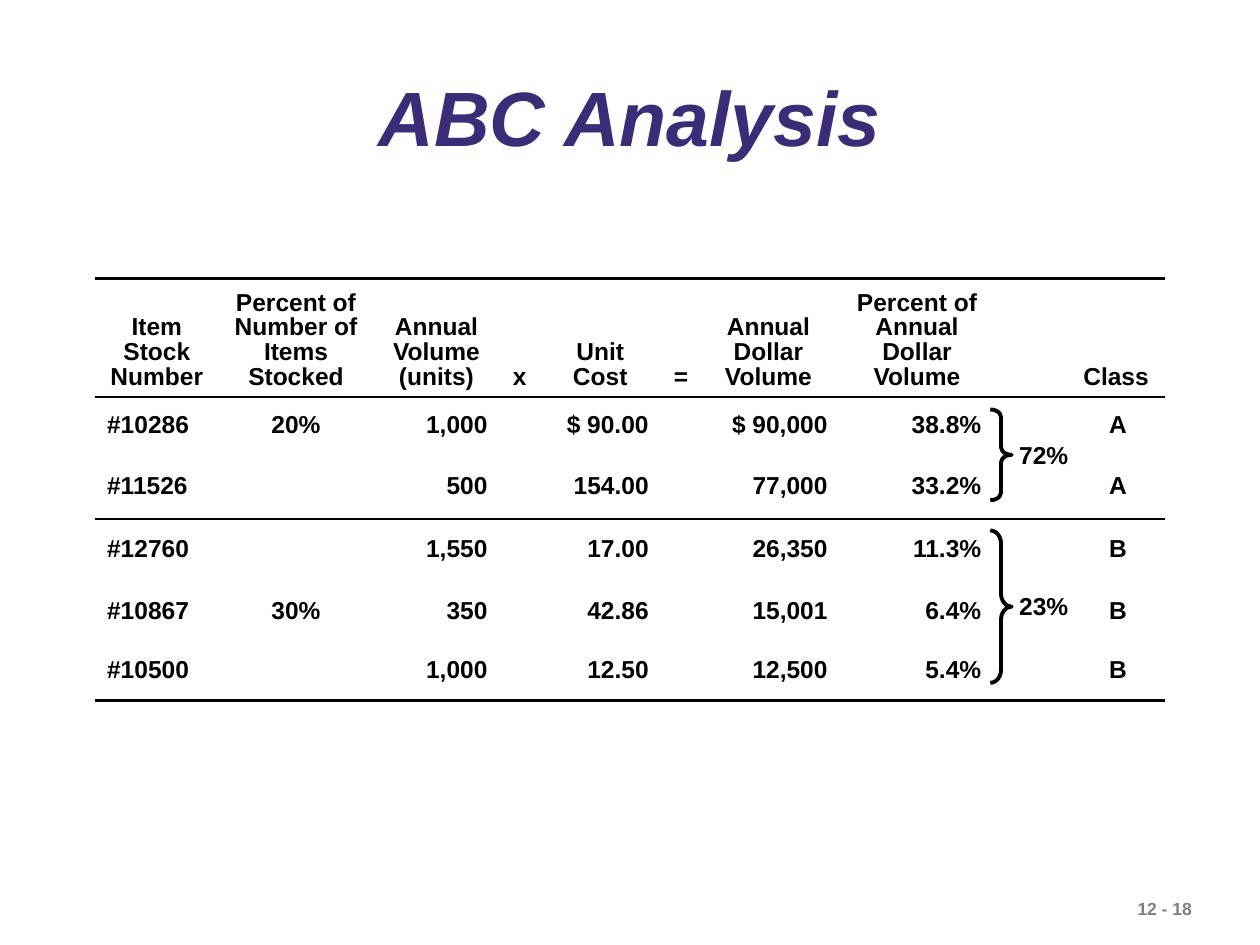
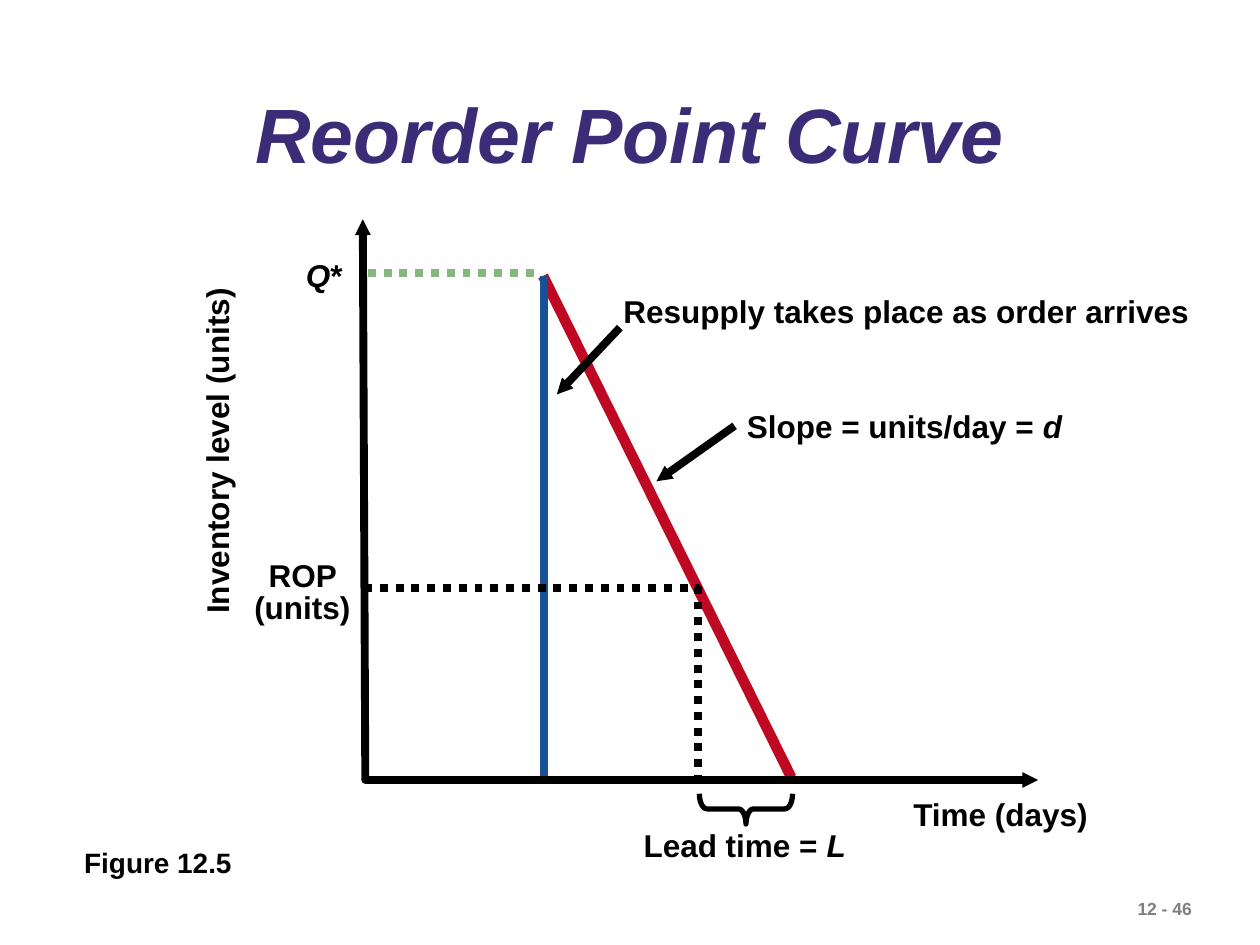
"""Build two inventory slides: an ABC analysis table and a reorder point curve."""
import pptx
import pptx.dml.color
import pptx.enum.dml
import pptx.enum.shapes
import pptx.enum.text
import pptx.oxml.ns
import pptx.util
from lxml import etree

Inches, Pt = pptx.util.Inches, pptx.util.Pt
ALIGN = pptx.enum.text.PP_ALIGN
MID = pptx.enum.text.MSO_ANCHOR.MIDDLE
LOW = pptx.enum.text.MSO_ANCHOR.BOTTOM
FIT = pptx.enum.text.MSO_AUTO_SIZE
SHAPE = pptx.enum.shapes.MSO_SHAPE
LINK = pptx.enum.shapes.MSO_CONNECTOR
DOT = pptx.enum.dml.MSO_LINE.ROUND_DOT

FONT = "Arial"
COLORS = {"title": "3A2C76", "ink": "000000", "page": "7F7F7F",
          "slope": "BF0922", "order": "86B87D", "supply": "175097"}

HEADS = ["Item Stock Number", "Percent of Number of Items Stocked",
         "Annual Volume (units)", "x", "Unit Cost", "=",
         "Annual Dollar Volume", "Percent of Annual Dollar Volume", "", "Class"]
ITEMS = [
    ["#10286", "20%", "1,000", "", "$ 90.00", "", "$ 90,000", "38.8%", "", "A"],
    ["#11526", "", "500", "", "154.00", "", "77,000", "33.2%", "", "A"],
    ["#12760", "", "1,550", "", "17.00", "", "26,350", "11.3%", "", "B"],
    ["#10867", "30%", "350", "", "42.86", "", "15,001", "6.4%", "", "B"],
    ["#10500", "", "1,000", "", "12.50", "", "12,500", "5.4%", "", "B"],
]
SIDES = "lcrrrrrrrc"
WIDTHS = [0.99, 1.22, 1.01, 0.31, 0.97, 0.28, 1.14, 1.22, 0.61, 0.75]
HEIGHTS = [0.94, 0.47, 0.5, 0.5, 0.47, 0.47]
RULES = {(0, "T"): 1.47, (0, "B"): 1.08, (2, "B"): 1.08, (5, "B"): 1.47}
GROUPS = [("72%", 3.25, 0.72, 0.35), ("23%", 4.21, 1.21, 0.6)]

STROKES = [
    ("slope", 6, None, (4.31, 2.19), (6.28, 6.17)),
    ("order", 4.5, DOT, (2.92, 2.17), (4.29, 2.17)),
    ("supply", 4.5, None, (4.32, 2.19), (4.32, 6.18)),
]
ROP = [(2.89, 4.67), (5.54, 4.67), (5.54, 6.17)]
AXES = [(2.88, 1.74), (2.9, 6.19), (8.24, 6.19)]
LABELS = {
    "level": ([("Q", True), ("*", False)], (2.33, 1.98, 0.55, 0.4)),
    "time": ([("Time (days)", False)], (7.15, 6.26, 1.7, 0.4)),
    "lead": ([("Lead time = ", False), ("L", True)], (5.01, 6.51, 1.9, 0.4)),
    "slope": ([("Slope = units/day = ", False), ("d", True)],
              (5.83, 3.18, 2.8, 0.4)),
    "supply": ([("Resupply takes place as order arrives", False)],
               (4.85, 2.27, 4.8, 0.4)),
}


def rgb(name):
    """Return the named colour."""
    return pptx.dml.color.RGBColor.from_string(COLORS[name])


def style(para, size, color="ink", align=ALIGN.LEFT, space=None):
    """Format a paragraph and all its runs."""
    para.alignment = align
    para.line_spacing = space
    for run in para.runs:
        font = run.font
        font.name, font.size, font.bold = FONT, Pt(size), True
        font.color.rgb = rgb(color)


def label(slide, parts, box, size=18, color="ink", wrap=False, **look):
    """Add a text box made of (text, italic) parts."""
    shape = slide.shapes.add_textbox(*map(Inches, box))
    frame = shape.text_frame
    frame.word_wrap = wrap
    frame.auto_size = FIT.NONE
    para = frame.paragraphs[0]
    for text, slant in parts:
        run = para.add_run()
        run.text, run.font.italic = text, slant
    style(para, size, color, **look)
    return shape


def start(deck, title, page, box):
    """Add a slide with its title and page number."""
    slide = deck.slides.add_slide(deck.slide_layouts[5])
    head = slide.shapes.title
    head.left, head.top, head.width, head.height = map(Inches, box)
    frame = head.text_frame
    frame.text = title
    frame.auto_size, frame.vertical_anchor = FIT.NONE, MID
    style(frame.paragraphs[0], 44, "title", ALIGN.CENTER, 0.9)
    frame.paragraphs[0].runs[0].font.italic = True
    label(slide, [(page, False)], (8.93, 7.08, 1.14, 0.27), 10, "page", True)
    return slide


def pen(shape, color="ink", width=4.5, dash=None, ends=()):
    """Set the line of a shape, with arrowheads at the given ends."""
    line = shape.line
    line.color.rgb, line.width = rgb(color), Pt(width)
    if dash:
        line.dash_style = dash
    tip = shape.element.spPr.find(pptx.oxml.ns.qn("a:ln"))
    for end in ends:
        etree.SubElement(tip, pptx.oxml.ns.qn(f"a:{end}End"),
                         type="triangle", w="sm", len="sm")


def link(slide, a, b, *args, **look):
    """Add a straight line without shadow."""
    line = slide.shapes.add_connector(LINK.STRAIGHT, *map(Inches, a + b))
    pen(line, *args, **look)
    etree.SubElement(line.element.spPr, pptx.oxml.ns.qn("a:effectLst"))
    return line


def trace(slide, points, **look):
    """Add an open outline through the points."""
    spots = [(Inches(x), Inches(y)) for x, y in points]
    path = slide.shapes.build_freeform(*spots[0])
    path.add_line_segments(spots[1:], close=False)
    shape = path.convert_to_shape()
    shape.fill.background()
    shape.shadow.inherit = False
    pen(shape, **look)


def brace(slide, box, curl, width, turn=0):
    """Add a right brace."""
    shape = slide.shapes.add_shape(SHAPE.RIGHT_BRACE, *map(Inches, box))
    shape.adjustments[0] = curl
    shape.rotation = turn
    shape.fill.background()
    shape.shadow.inherit = False
    pen(shape, width=width)


def border(cell, row):
    """Draw the rules above and below a table cell."""
    qn = pptx.oxml.ns.qn
    props = cell._tc.get_or_add_tcPr()
    for side in "BT":
        width = RULES.get((row, side))
        line = etree.Element(qn(f"a:ln{side}"), w=str(Pt(width or 0)))
        if width:
            fill = etree.SubElement(line, qn("a:solidFill"))
            etree.SubElement(fill, qn("a:srgbClr"), val=COLORS["ink"])
        else:
            etree.SubElement(line, qn("a:noFill"))
        if width or (row + 1, "T") not in RULES and (row - 1, "B") not in RULES:
            props.insert(0, line)


def grid(slide):
    """Add the item table."""
    rows = [HEADS] + ITEMS
    shape = slide.shapes.add_table(len(rows), len(HEADS), *map(
        Inches, (0.75, 2.21, sum(WIDTHS), sum(HEIGHTS))))
    for node in shape.element.iter(pptx.oxml.ns.qn("a:tableStyleId")):
        node.text = "{2D5ABB26-0587-4C30-8999-92F81FD0307C}"
    table = shape.table
    table.first_row = table.horz_banding = False
    for col, width in zip(table.columns, WIDTHS):
        col.width = Inches(width)
    sides = {"l": ALIGN.LEFT, "c": ALIGN.CENTER, "r": ALIGN.RIGHT}
    for r, row in enumerate(rows):
        table.rows[r].height = Inches(HEIGHTS[r])
        aligns = SIDES if r else "c" * 9 + "l"
        for c, text in enumerate(row):
            cell = table.cell(r, c)
            cell.fill.background()
            cell.vertical_anchor = MID if r else LOW
            if text:
                cell.text_frame.text = text
                para = cell.text_frame.paragraphs[0]
                style(para, 14, align=sides[aligns[c]], space=0.9)
                para.space_after = Pt(7)
            border(cell, r)


def analysis(deck):
    """Build the ABC analysis slide."""
    slide = start(deck, "ABC Analysis", "12 - 18", (0.75, 0.48, 8.5, 0.97))
    grid(slide)
    for text, top, tall, curl in GROUPS:
        brace(slide, (7.86, top, 0.17, tall), curl, 2.25)
        label(slide, [(text, False)],
              (7.99, top + tall / 2 - 0.17, 0.65, 0.34), 14)


def curve(deck):
    """Build the reorder point slide."""
    slide = start(deck, "Reorder Point Curve", "12 - 46", (0.6, 0.58, 8.8, 1.04))
    for color, width, dash, a, b in STROKES:
        link(slide, a, b, color, width, dash)
    trace(slide, ROP, dash=DOT)
    trace(slide, AXES, ends=("head", "tail"))
    notes = {key: label(slide, *item) for key, item in LABELS.items()}
    label(slide, [("ROP (units)", False)], (1.86, 4.41, 1.08, 0.61),
          wrap=True, align=ALIGN.CENTER, space=0.85)
    label(slide, [("Inventory level (units)", False)],
          (0.22, 3.38, 3, 0.4), align=ALIGN.CENTER).rotation = 270
    label(slide, [("Figure 12.5", False)], (0.57, 6.66, 1.45, 0.37), 16)
    brace(slide, (5.8, 6.05, 0.24, 0.74), 0.25, 3, 90)
    arrow = link(slide, (5.83, 3.38), (5.21, 3.82), ends=["tail"])
    arrow.begin_connect(notes["slope"], 1)
    link(slide, (4.92, 2.6), (4.42, 3.13), ends=["tail"])


def main():
    """Build and save the deck."""
    deck = pptx.Presentation()
    deck.slide_width, deck.slide_height = Inches(10), Inches(7.5)
    analysis(deck)
    curve(deck)
    deck.save("out.pptx")


if __name__ == "__main__":
    main()
